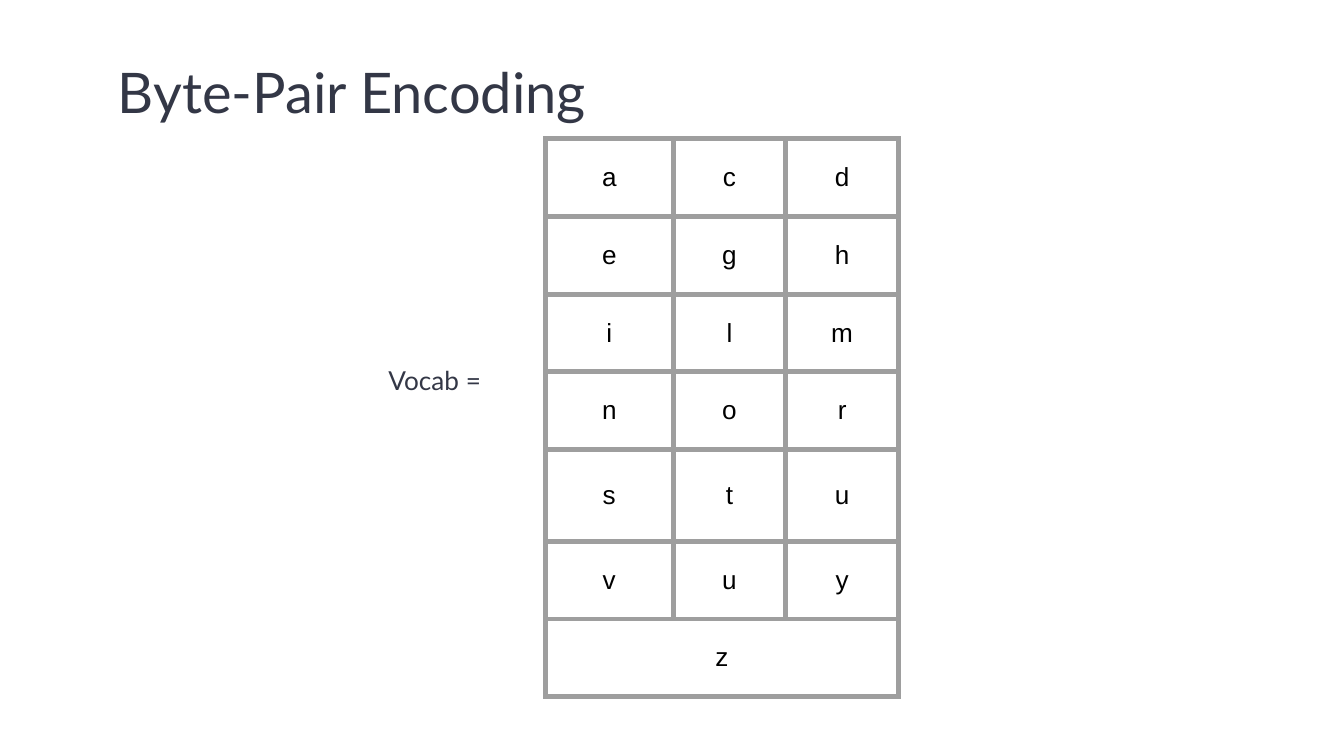
from dataclasses import dataclass

from lxml.etree import SubElement
from pptx import Presentation
from pptx.dml.color import RGBColor
from pptx.enum.text import MSO_ANCHOR, PP_ALIGN
from pptx.oxml.ns import qn
from pptx.util import Cm, Pt


@dataclass(frozen=True)
class Theme:
    heading_font: str = "Lato"
    cell_font: str = "Arial"
    ink: str = "333746"
    cell_ink: str = "000000"
    grid: str = "9E9E9E"
    grid_width: float = 3
    title_size: float = 30
    body_size: float = 14
    inset: float = 0.25
    line_spacing: float = 1.15


class SlideBuilder:
    """Draws styled elements on the current slide."""

    def __init__(self, slide, theme):
        self.slide = slide
        self.theme = theme

    def format_runs(self, paragraph, font, size, color):
        for run in paragraph.runs:
            run.font.name = font
            run.font.size = Pt(size)
            run.font.color.rgb = RGBColor.from_string(color)

    def set_insets(self, holder):
        inset = Cm(self.theme.inset)
        holder.margin_left = holder.margin_right = inset
        holder.margin_top = holder.margin_bottom = inset

    def set_wording(self, shape, wording, size):
        frame = shape.text_frame
        frame.text = wording
        frame.word_wrap = True
        frame.vertical_anchor = MSO_ANCHOR.TOP
        self.set_insets(frame)
        paragraph = frame.paragraphs[0]
        paragraph.alignment = PP_ALIGN.LEFT
        paragraph.line_spacing = self.theme.line_spacing
        self.format_runs(paragraph, self.theme.heading_font, size, self.theme.ink)

    def title(self, wording, left, top, width, height):
        heading = self.slide.shapes.title
        heading.left, heading.top = Cm(left), Cm(top)
        heading.width, heading.height = Cm(width), Cm(height)
        self.set_wording(heading, wording, self.theme.title_size)

    def label(self, wording, left, top, width, height):
        box = self.slide.shapes.add_textbox(Cm(left), Cm(top), Cm(width), Cm(height))
        self.set_wording(box, wording, self.theme.body_size)

    def border(self, cell):
        properties = cell._tc.get_or_add_tcPr()
        for side in ("lnL", "lnR", "lnT", "lnB"):
            line = SubElement(properties, qn(f"a:{side}"), w=str(Pt(self.theme.grid_width)))
            fill = SubElement(line, qn("a:solidFill"))
            SubElement(fill, qn("a:srgbClr"), val=self.theme.grid)

    def letter_table(self, letter_rows, left, top, widths, heights):
        table = self.slide.shapes.add_table(
            len(heights), len(widths), Cm(left), Cm(top), Cm(sum(widths)), Cm(sum(heights))
        ).table
        table.first_row = table.horz_banding = False
        for column, width in zip(table.columns, widths):
            column.width = Cm(width)
        for row, height in zip(table.rows, heights):
            row.height = Cm(height)
        for cell in table.iter_cells():
            self.border(cell)
            cell.fill.background()
            self.set_insets(cell)
            cell.vertical_anchor = MSO_ANCHOR.MIDDLE
        for row_index, letters in enumerate(letter_rows):
            for column_index, letter in enumerate(letters):
                cell = table.cell(row_index, column_index)
                cell.text_frame.text = letter
                paragraph = cell.text_frame.paragraphs[0]
                paragraph.alignment = PP_ALIGN.CENTER
                self.format_runs(
                    paragraph, self.theme.cell_font, self.theme.body_size, self.theme.cell_ink
                )
            if len(letters) == 1:
                table.cell(row_index, 0).merge(table.cell(row_index, len(widths) - 1))


def main():
    presentation = Presentation()
    presentation.slide_width, presentation.slide_height = Cm(25.4), Cm(14.29)
    slide = presentation.slides.add_slide(presentation.slide_layouts[5])
    builder = SlideBuilder(slide, Theme())

    builder.title("Byte-Pair Encoding", 1.98, 0.64, 21.08, 1.96)
    vocabulary = ["acd", "egh", "ilm", "nor", "stu", "vuy", "z"]
    heights = [1.73 if letters == "stu" else 1.47 for letters in vocabulary]
    builder.letter_table(vocabulary, 10.31, 2.62, [2.41, 2.13, 2.13], heights)
    builder.label("Vocab =", 7.09, 6.55, 2.57, 1.17)

    presentation.save("out.pptx")


if __name__ == "__main__":
    main()
